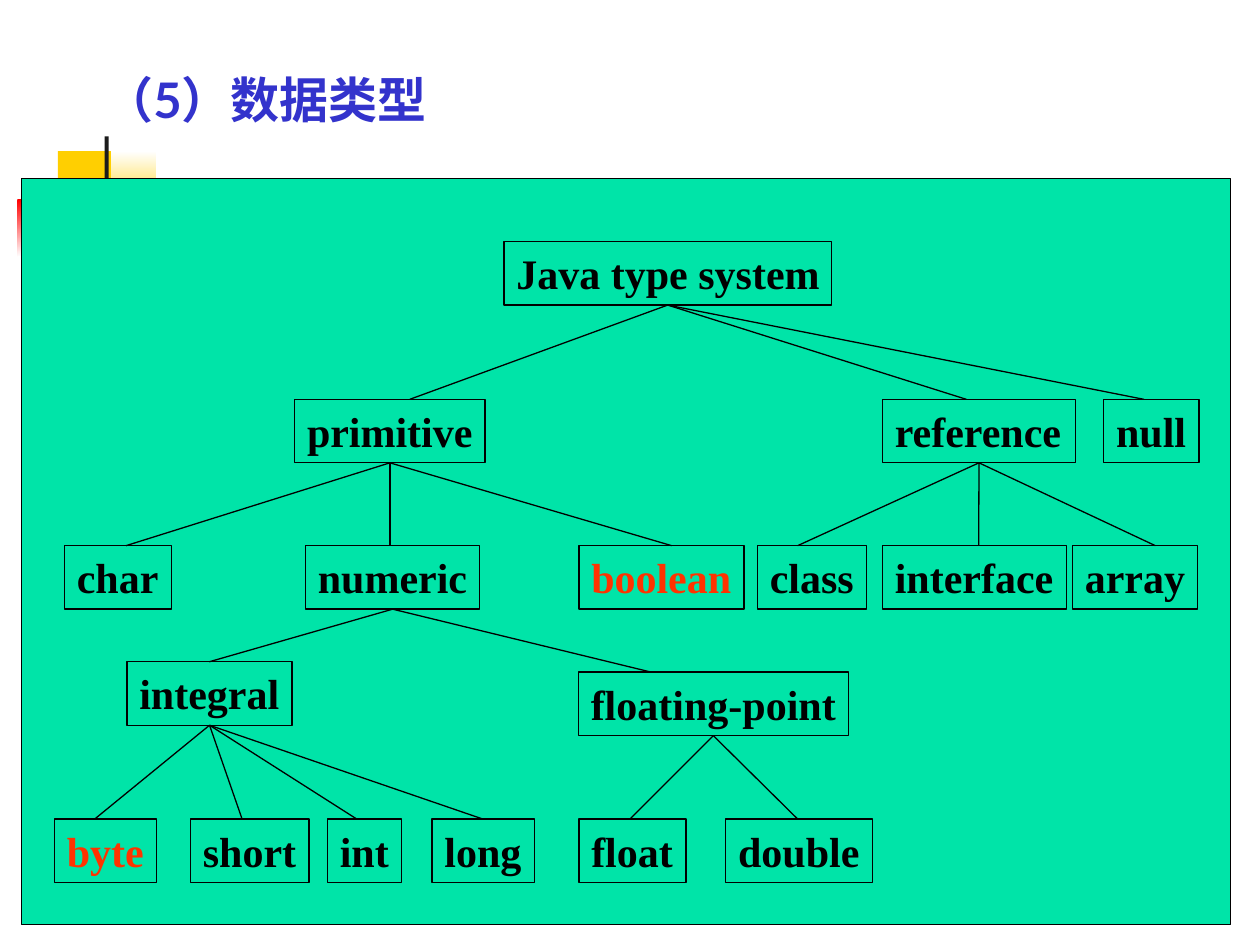
from dataclasses import dataclass

import pptx
import pptx.dml.color
import pptx.enum.shapes
import pptx.enum.text
import pptx.oxml.ns
import pptx.util
from lxml import etree
from pptx.util import Cm


@dataclass(frozen=True)
class Theme:
    """Colours, fonts and type sizes of the slide."""
    heading: str = "3333CC"
    ink: str = "000000"
    accent: str = "FF3300"
    panel: str = "00E4A8"
    gold: str = "FFCF01"
    red: str = "FF0000"
    white: str = "FFFFFF"
    bar: str = "1C1C1C"
    heading_font: str = "Lato"
    node_font: str = "Times New Roman"
    heading_size: float = 28
    node_size: float = 24
    line_width: float = 0.75


@dataclass(frozen=True)
class Node:
    """A type in the tree, with its place in cm and where its branch lands."""
    name: str
    left: float
    top: float
    width: float
    parent: str = ""
    landing: float = 0


THEME = Theme()
NODE_HEIGHT = 1.28
HIGHLIGHTED = {"boolean", "byte"}
TYPES = [
    Node("Java type system", 10.16, 4.87, 6.6),
    Node("primitive", 5.94, 8.05, 3.84, "Java type system", 8.26),
    Node("reference", 17.79, 8.05, 3.89, "Java type system", 19.48),
    Node("null", 22.25, 8.05, 1.92, "Java type system", 23.06),
    Node("char", 1.3, 11, 2.16, "primitive", 2.54),
    Node("numeric", 6.16, 11, 3.51, "primitive", 7.86),
    Node("boolean", 11.67, 11, 3.33, "primitive", 13.54),
    Node("class", 15.27, 11, 2.2, "reference", 16.08),
    Node("interface", 17.79, 11, 3.71, "reference", 19.73),
    Node("array", 21.62, 11, 2.52, "reference", 23.29),
    Node("integral", 2.56, 13.34, 3.33, "numeric", 4.22),
    Node("floating-point", 11.66, 13.55, 5.44, "numeric", 13.13),
    Node("byte", 1.1, 16.51, 2.06, "integral", 1.91),
    Node("short", 3.84, 16.51, 2.39, "integral", 4.88),
    Node("int", 6.6, 16.51, 1.5, "integral", 7.19),
    Node("long", 8.71, 16.51, 2.06, "integral", 9.73),
    Node("float", 11.67, 16.51, 2.16, "floating-point", 12.7),
    Node("double", 14.63, 16.51, 2.96, "floating-point", 16.08),
]


def rgb(value):
    """Return the colour for a hex string."""
    return pptx.dml.color.RGBColor.from_string(value)


def draw_outline(line):
    """Give a line the thin black stroke of the diagram."""
    line.color.rgb = rgb(THEME.ink)
    line.width = pptx.util.Pt(THEME.line_width)


def write(frame, text, font_name, size, color):
    """Write one bold left-aligned line that may use the frame up to its right edge."""
    frame.text = text
    frame.word_wrap = False
    frame.auto_size = pptx.enum.text.MSO_AUTO_SIZE.NONE
    frame.margin_right = Cm(0)
    paragraph = frame.paragraphs[0]
    paragraph.alignment = pptx.enum.text.PP_ALIGN.LEFT
    font = paragraph.font
    font.name, font.size, font.bold = font_name, pptx.util.Pt(size), True
    font.color.rgb = rgb(color)


def add_box(shapes, left, top, width, height):
    """Add a rectangle without shadow or line."""
    box = shapes.add_shape(pptx.enum.shapes.MSO_SHAPE.RECTANGLE,
                           Cm(left), Cm(top), Cm(width), Cm(height))
    box.shadow.inherit = False
    box.line.fill.background()
    return box


def fill_solid(box, color):
    """Fill a box with one colour."""
    box.fill.solid()
    box.fill.fore_color.rgb = rgb(color)


def fill_downward(box, start, end):
    """Fill a box with a gradient from top to bottom."""
    box.fill.gradient()
    box.fill.gradient_angle = 270
    for stop, color, position in zip(box.fill.gradient_stops, (start, end), (0, 1)):
        stop.color.rgb = rgb(color)
        stop.position = position


def add_title(slide):
    """Place and format the slide title."""
    title = slide.shapes.title
    title.left, title.top, title.width, title.height = Cm(1.85), Cm(1.27), Cm(8), Cm(1.45)
    write(title.text_frame, "（5）数据类型", THEME.heading_font,
          THEME.heading_size, THEME.heading)


def add_ornament(shapes):
    """Add the coloured blocks and the bar beside the title."""
    fill_solid(add_box(shapes, 1.17, 3.05, 1.22, 1.32), THEME.gold)
    fill_downward(add_box(shapes, 2.24, 3.05, 0.91, 1.32), THEME.white, THEME.gold)
    fill_downward(add_box(shapes, 0.35, 4.02, 1.55, 1.16), THEME.red, THEME.white)
    fill_solid(add_box(shapes, 2.11, 2.75, 0.08, 2.92), THEME.bar)


def add_node(shapes, node):
    """Add the outlined label of a type."""
    box = add_box(shapes, node.left, node.top, node.width, NODE_HEIGHT)
    box.fill.background()
    draw_outline(box.line)
    box.text_frame.vertical_anchor = pptx.enum.text.MSO_ANCHOR.TOP
    write(box.text_frame, node.name, THEME.node_font, THEME.node_size,
          THEME.accent if node.name in HIGHLIGHTED else THEME.ink)


def add_branch(shapes, parent, child):
    """Join the foot of a parent to the top of its child."""
    branch = shapes.add_connector(
        pptx.enum.shapes.MSO_CONNECTOR.STRAIGHT,
        Cm(parent.left + parent.width / 2), Cm(parent.top + NODE_HEIGHT),
        Cm(child.landing), Cm(child.top))
    draw_outline(branch.line)
    etree.SubElement(branch._element.spPr, pptx.oxml.ns.qn("a:effectLst"))


def add_type_tree(slide):
    """Add the panel with all types and their branches as one group."""
    shapes = slide.shapes.add_group_shape().shapes
    panel = add_box(shapes, 0.43, 3.6, 24.38, 15.04)
    fill_solid(panel, THEME.panel)
    draw_outline(panel.line)
    for node in TYPES:
        add_node(shapes, node)
    by_name = {node.name: node for node in TYPES}
    for node in TYPES:
        if node.parent:
            add_branch(shapes, by_name[node.parent], node)


def main():
    """Build and save the slide."""
    presentation = pptx.Presentation()
    presentation.slide_width, presentation.slide_height = Cm(25.4), Cm(19.05)
    slide = presentation.slides.add_slide(presentation.slide_layouts[5])
    add_ornament(slide.shapes)
    add_title(slide)
    add_type_tree(slide)
    presentation.save("out.pptx")


if __name__ == "__main__":
    main()
